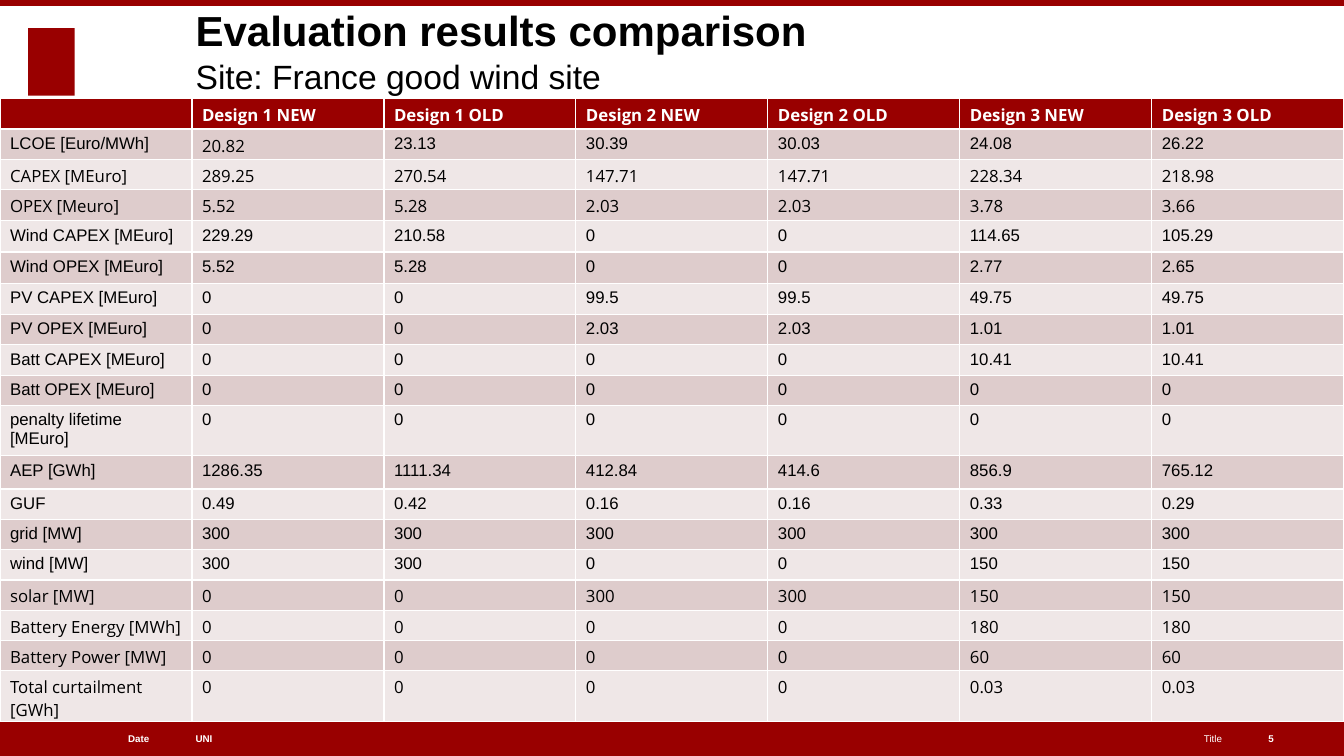
"""Build the evaluation results comparison slide."""
from lxml import etree
from pptx import Presentation
from pptx.dml.color import RGBColor
from pptx.enum.shapes import MSO_SHAPE
from pptx.enum.text import MSO_ANCHOR, PP_ALIGN
from pptx.oxml.ns import qn
from pptx.util import Inches, Pt

RECTANGLE = MSO_SHAPE.RECTANGLE
BOTTOM, MIDDLE = MSO_ANCHOR.BOTTOM, MSO_ANCHOR.MIDDLE
LEFT, RIGHT = PP_ALIGN.LEFT, PP_ALIGN.RIGHT

COLORS = {"red": "990000", "dark_band": "DECCCC", "light_band": "EFE7E7",
          "white": "FFFFFF", "black": "000000"}
ARIAL, OPEN_SANS = "Arial", "Open Sans"
WIDTH, HEIGHT = 13.33, 7.5
FOOTER_TOP, FOOTER_HEIGHT = 7.15, 0.35
TABLE_TOP, TABLE_HEIGHT = 0.98, 6.2
HEADER_HEIGHT = 0.25

HEADERS = [""] + [f"Design {n} {age}" for n in (1, 2, 3) for age in ("NEW", "OLD")]

# Label, minimum row height, font, values
ROWS = [
    ("LCOE [Euro/MWh]", 0.29, ARIAL, "20.82 23.13 30.39 30.03 24.08 26.22"),
    ("CAPEX [MEuro]", 0.3, OPEN_SANS, "289.25 270.54 147.71 147.71 228.34 218.98"),
    ("OPEX [Meuro]", 0.31, OPEN_SANS, "5.52 5.28 2.03 2.03 3.78 3.66"),
    ("Wind CAPEX [MEuro]", 0.31, ARIAL, "229.29 210.58 0 0 114.65 105.29"),
    ("Wind OPEX [MEuro]", 0.31, ARIAL, "5.52 5.28 0 0 2.77 2.65"),
    ("PV CAPEX [MEuro]", 0.31, ARIAL, "0 0 99.5 99.5 49.75 49.75"),
    ("PV OPEX [MEuro]", 0.24, ARIAL, "0 0 2.03 2.03 1.01 1.01"),
    ("Batt CAPEX [MEuro]", 0.25, ARIAL, "0 0 0 0 10.41 10.41"),
    ("Batt OPEX [MEuro]", 0.22, ARIAL, "0 0 0 0 0 0"),
    ("penalty lifetime [MEuro]", 0.16, ARIAL, "0 0 0 0 0 0"),
    ("AEP [GWh]", 0.33, ARIAL, "1286.35 1111.34 412.84 414.6 856.9 765.12"),
    ("GUF", 0.24, ARIAL, "0.49 0.42 0.16 0.16 0.33 0.29"),
    ("grid [MW]", 0, ARIAL, "300 300 300 300 300 300"),
    ("wind [MW]", 0, ARIAL, "300 300 0 0 150 150"),
    ("solar [MW]", 0.27, OPEN_SANS, "0 0 300 300 150 150"),
    ("Battery Energy [MWh]", 0.27, OPEN_SANS, "0 0 0 0 180 180"),
    ("Battery Power [MW]", 0.27, OPEN_SANS, "0 0 0 0 60 60"),
    ("Total curtailment [GWh]", 0.27, OPEN_SANS, "0 0 0 0 0.03 0.03"),
]


def rgb(name):
    """Return the named colour."""
    return RGBColor.from_string(COLORS[name])


def write(p, text, size=12, font=ARIAL, color="black", bold=False, align=LEFT):
    """Add a formatted run to a paragraph."""
    p.alignment = align
    r = p.add_run()
    r.text = text
    r.font.size, r.font.name, r.font.bold = Pt(size), font, bold
    r.font.color.rgb = rgb(color)


def add_box(s, left, top, width, height, anchor=MIDDLE):
    """Add a text box without margins and return its first paragraph."""
    tf = s.shapes.add_textbox(*map(Inches, (left, top, width, height))).text_frame
    tf.word_wrap = True
    tf.vertical_anchor = anchor
    tf.margin_left = tf.margin_top = tf.margin_right = tf.margin_bottom = 0
    return tf.paragraphs[0]


def add_block(s, left, top, width, height):
    """Add a plain red rectangle."""
    sp = s.shapes.add_shape(RECTANGLE, *map(Inches, (left, top, width, height)))
    sp.shadow.inherit = False
    sp.fill.solid()
    sp.fill.fore_color.rgb = rgb("red")
    sp.line.fill.background()


def add_title(s):
    """Add the heading and the site line."""
    p = add_box(s, 1.94, -0.11, 10.18, 1.06, BOTTOM)
    write(p, "Evaluation results comparison", size=30, bold=True)
    p.add_line_break()
    write(p, "Site: France good wind site", size=24)


def add_footer(s):
    """Add the bottom bar texts."""
    for text, left, width, bold, align in (
            ("UNI", 1.94, 3.72, True, LEFT), ("Date", 0.27, 1.21, True, RIGHT),
            ("Title", 6.11, 6.01, False, RIGHT), ("5", 12.58, 0.47, True, LEFT)):
        p = add_box(s, left, FOOTER_TOP, width, FOOTER_HEIGHT)
        write(p, text, size=7, color="white", bold=bold, align=align)


def fill_cell(cell, text, fill, **fmt):
    """Set the fill and text of a table cell."""
    cell.fill.solid()
    cell.fill.fore_color.rgb = rgb(fill)
    p = cell.text_frame.paragraphs[0]
    if text:
        write(p, text, **fmt)
    else:
        etree.SubElement(p._p, qn("a:endParaRPr")).set("sz", "1200")


def add_results(s):
    """Add the table of design results."""
    heights = [HEADER_HEIGHT] + [row[1] for row in ROWS]
    frame = s.shapes.add_table(len(heights), len(HEADERS), 0, Inches(TABLE_TOP),
                               Inches(WIDTH), Inches(TABLE_HEIGHT))
    table = frame.table
    table.horz_banding = False
    for row, height in zip(table.rows, heights):
        row.height = Inches(height)
    frame.height = Inches(TABLE_HEIGHT)
    for col, text in enumerate(HEADERS):
        fill_cell(table.cell(0, col), text, "red", font=OPEN_SANS, color="white", bold=True)
    for i, (label, _, font, values) in enumerate(ROWS, 1):
        band = "dark_band" if i % 2 else "light_band"
        for col, text in enumerate([label] + values.split()):
            cell_font = OPEN_SANS if (i, col) == (1, 1) else font
            fill_cell(table.cell(i, col), text, band, font=cell_font)


def main():
    """Build and save the slide."""
    prs = Presentation()
    prs.slide_width, prs.slide_height = Inches(WIDTH), Inches(HEIGHT)
    s = prs.slides.add_slide(prs.slide_layouts[6])
    add_block(s, 0.28, 0.28, 0.46, 0.67)
    add_block(s, 0, FOOTER_TOP, WIDTH, FOOTER_HEIGHT)
    add_block(s, 0, 0, WIDTH, 0.06)
    add_title(s)
    add_results(s)
    add_footer(s)
    prs.save("out.pptx")


main()
